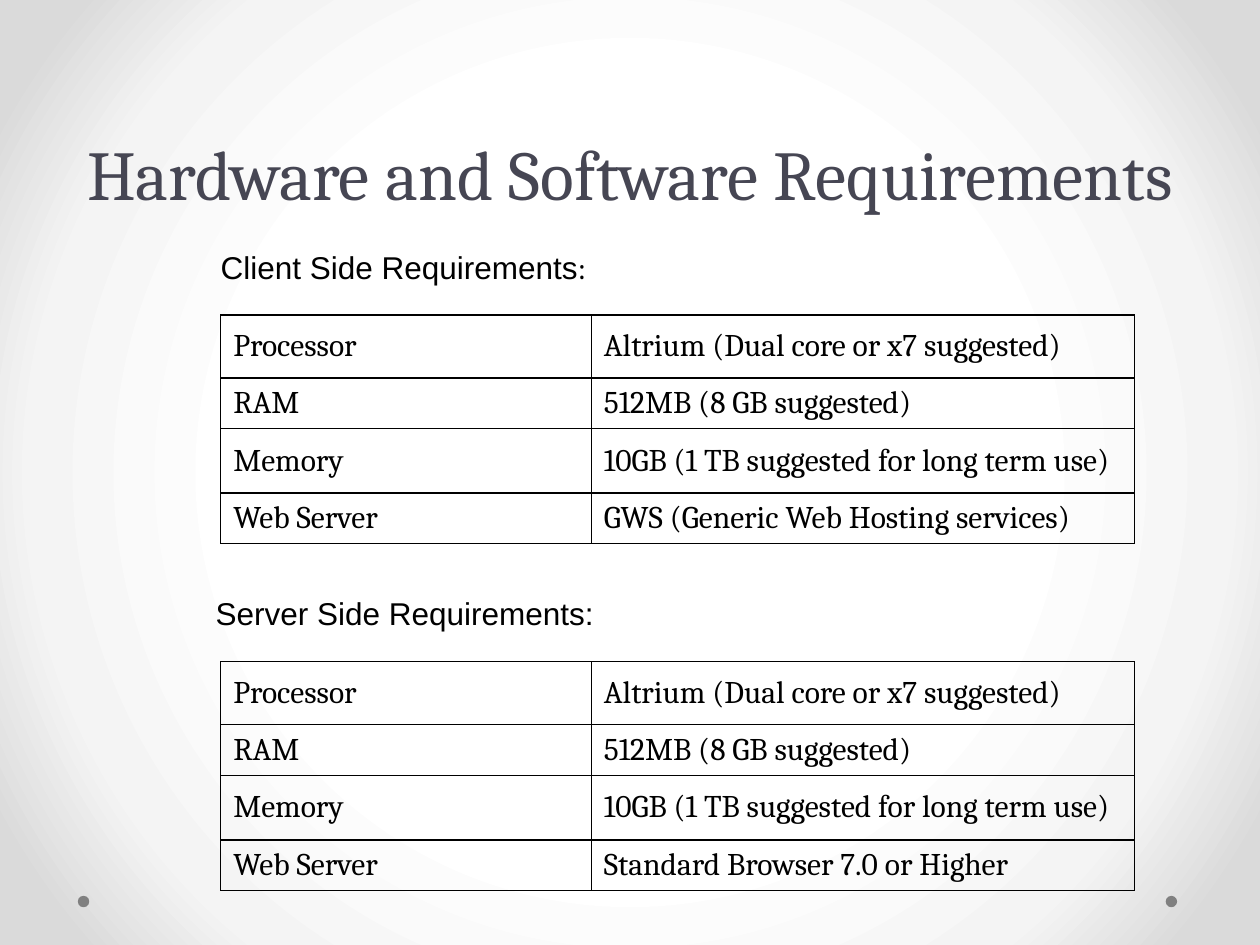
from dataclasses import dataclass

from lxml.etree import SubElement
from pptx import Presentation
from pptx.dml.color import RGBColor
from pptx.enum.shapes import MSO_SHAPE as Shape
from pptx.enum.text import MSO_ANCHOR as Anchor, PP_ALIGN as Align
from pptx.oxml import parse_xml
from pptx.oxml.ns import nsdecls, qn
from pptx.util import Cm, Pt


@dataclass(frozen=True)
class Theme:
    title_color: str = "464653"
    ink: str = "000000"
    dot: str = "808080"
    glow: tuple = ((50, "FFFFFF"), (76, "F4F4F4"), (92, "DADADA"))
    serif: str = "Cambria"
    sans: str = "Arial"
    title_size: int = 40
    body_size: int = 18
    border: int = 1


def write(para, text, *, font, size, color):
    """Add a formatted span to a paragraph."""
    span = para.add_run()
    span.text = text
    span.font.name = font
    span.font.size = Pt(size)
    span.font.color.rgb = RGBColor.from_string(color)


class SlideBuilder:
    def __init__(self, page, theme):
        self.page = page
        self.theme = theme

    def background(self):
        stops = "".join(
            f'<a:gs pos="{pos * 1000}"><a:srgbClr val="{color}"/></a:gs>'
            for pos, color in self.theme.glow)
        self.page.element.cSld.insert(0, parse_xml(
            f'<p:bg {nsdecls("p", "a")}><p:bgPr><a:gradFill rotWithShape="1">'
            f'<a:gsLst>{stops}</a:gsLst><a:path path="circle">'
            '<a:fillToRect l="50000" t="50000" r="50000" b="50000"/></a:path>'
            '</a:gradFill><a:effectLst/></p:bgPr></p:bg>'))

    def dot(self, left, top, size):
        dot = self.page.shapes.add_shape(
            Shape.OVAL, Cm(left), Cm(top), Cm(size), Cm(size))
        dot.shadow.inherit = False
        dot.fill.solid()
        dot.fill.fore_color.rgb = RGBColor.from_string(self.theme.dot)
        dot.line.fill.background()

    def text_frame(self, left, top, width, height):
        box = self.page.shapes.add_textbox(
            Cm(left), Cm(top), Cm(width), Cm(height))
        box.text_frame.word_wrap = True
        return box.text_frame

    def title(self, text, left, top, width, height):
        frame = self.text_frame(left, top, width, height)
        frame.vertical_anchor = Anchor.BOTTOM
        para = frame.paragraphs[0]
        para.alignment = Align.CENTER
        para.line_spacing = Pt(58)
        write(para, text, font=self.theme.serif, size=self.theme.title_size,
              color=self.theme.title_color)

    def label(self, spans, left, top, width, height, indent):
        para = self.text_frame(left, top, width, height).paragraphs[0]
        para._p.get_or_add_pPr().set("marL", str(Cm(indent)))
        for text, font in spans:
            write(para, text, font=font, size=self.theme.body_size,
                  color=self.theme.ink)

    def table(self, rows, left, top, widths, heights):
        table = self.page.shapes.add_table(
            len(rows), len(widths), Cm(left), Cm(top),
            Cm(sum(widths)), Cm(sum(heights))).table
        table.first_row = table.horz_banding = False
        for column, width in zip(table.columns, widths):
            column.width = Cm(width)
        for row, height, texts in zip(table.rows, heights, rows):
            row.height = Cm(height)
            for cell, text in zip(row.cells, texts):
                self.borders(cell)
                cell.fill.background()
                cell.vertical_anchor = Anchor.MIDDLE
                write(cell.text_frame.paragraphs[0], text,
                      font=self.theme.serif, size=self.theme.body_size,
                      color=self.theme.ink)

    def borders(self, cell):
        props = cell._tc.get_or_add_tcPr()
        for side in ("lnL", "lnR", "lnT", "lnB"):
            line = SubElement(props, qn(f"a:{side}"),
                              w=str(Pt(self.theme.border)))
            fill = SubElement(line, qn("a:solidFill"))
            SubElement(fill, qn("a:srgbClr"), val=self.theme.ink)


def main():
    theme = Theme()
    deck = Presentation()
    deck.slide_width, deck.slide_height = Cm(25.4), Cm(19.05)
    slide = SlideBuilder(deck.slides.add_slide(deck.slide_layouts[6]), theme)

    # Backdrop and corner dots
    slide.background()
    for left in (23.5, 1.57):
        slide.dot(left, 18.06, 0.23)

    slide.title("Hardware and Software Requirements", 1.27, 0, 22.86, 4.45)

    # Requirement tables differ only in the last row
    shared_rows = [
        ("Processor", "Altrium (Dual core or x7 suggested)"),
        ("RAM", "512MB (8 GB suggested)"),
        ("Memory", "10GB (1 TB suggested for long term use)"),
    ]
    servers = (
        (6.35, "GWS (Generic Web Hosting services)"),
        (13.34, "Standard Browser 7.0 or Higher"),
    )
    for top, server in servers:
        slide.table(shared_rows + [("Web Server", server)], 4.45, top,
                    widths=(7.47, 10.95), heights=(1.27, 1.02, 1.3, 0.86))

    # Table headings
    slide.label([("Client Side Requirements", theme.sans), (":", theme.serif)],
                3.18, 4.88, 9.96, 1.02, indent=1.02)
    slide.label([("Server Side Requirements:", theme.sans)],
                3.28, 11.86, 10.9, 1.8, indent=0.82)

    deck.save("out.pptx")


if __name__ == "__main__":
    main()
